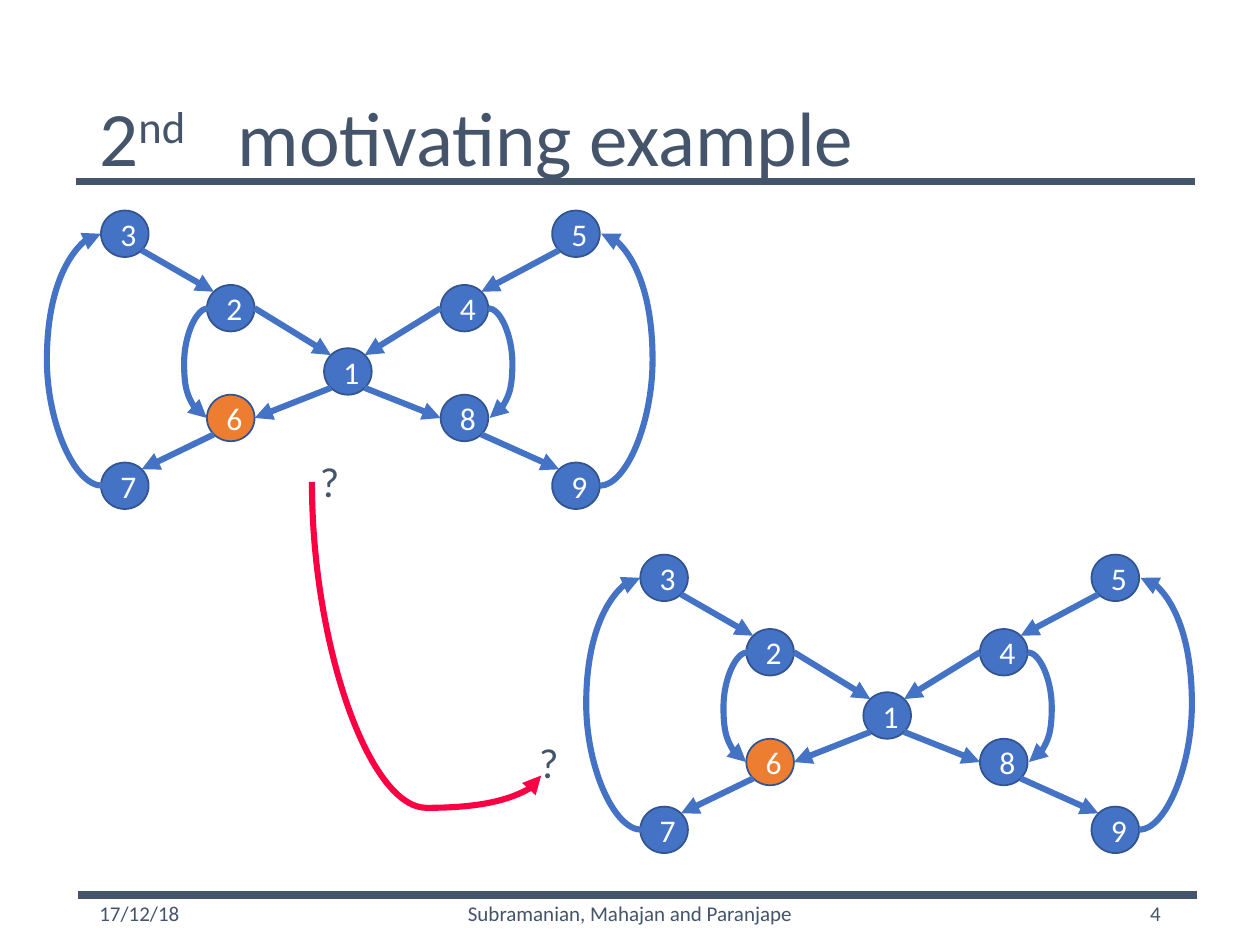
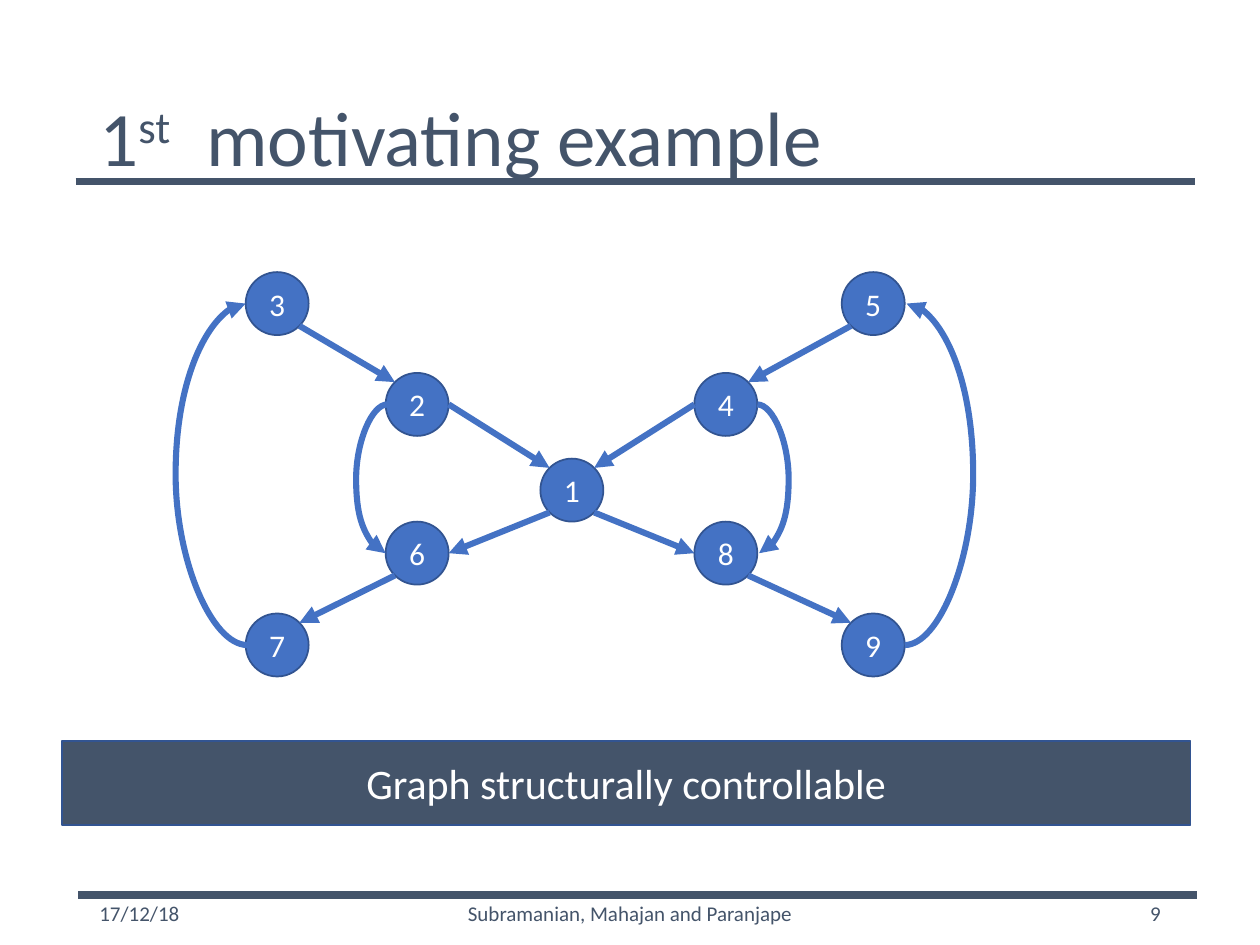
from dataclasses import dataclass
from math import sqrt
from typing import NamedTuple

from lxml.etree import SubElement
from pptx import Presentation
from pptx.dml.color import RGBColor
from pptx.enum.shapes import MSO_CONNECTOR, MSO_SHAPE
from pptx.enum.text import MSO_ANCHOR, PP_ALIGN
from pptx.oxml.ns import qn
from pptx.util import Pt


@dataclass(frozen=True)
class Theme:
    font: str = "Calibri"
    slate: str = "44546A"
    blue: str = "4472C4"
    outline: str = "325491"
    orange: str = "ED7D31"
    red: str = "FC0044"
    white: str = "FFFFFF"
    title_size: float = 44
    callout_size: float = 24
    node_size: float = 18
    footer_size: float = 12
    rule_width: float = 4.5
    edge_width: float = 3.5
    outline_width: float = 1


class Point(NamedTuple):
    x: float
    y: float


class Area(NamedTuple):
    left: float
    top: float
    width: float
    height: float


class Edge(NamedTuple):
    source: str
    source_side: str
    target: str
    target_side: str


class Arc(NamedTuple):
    source: str
    target: str
    side: str
    bulge: float


class Placement(NamedTuple):
    origin: Point
    scale: Point
    highlighted: str = ""


class Title(NamedTuple):
    number: str
    suffix: str
    rest: str
    tab: float


THEME = Theme()
DIAMETER = 36
DIAGONAL = sqrt(0.5)

SIDES = {
    "W": Point(-1, 0),
    "E": Point(1, 0),
    "NW": Point(-DIAGONAL, -DIAGONAL),
    "NE": Point(DIAGONAL, -DIAGONAL),
    "SW": Point(-DIAGONAL, DIAGONAL),
    "SE": Point(DIAGONAL, DIAGONAL),
}

NODES = {
    "2": Point(80, 57.6),
    "3": Point(0, 0),
    "4": Point(256.4, 57.6),
    "8": Point(256.4, 142.6),
    "6": Point(80, 142.6),
    "7": Point(0, 195.1),
    "1": Point(168.4, 106.6),
    "5": Point(340.6, 0),
    "9": Point(340.6, 195.1),
}

EDGES = [
    Edge("3", "SE", "2", "NW"),
    Edge("2", "E", "1", "NW"),
    Edge("4", "W", "1", "NE"),
    Edge("5", "SW", "4", "NE"),
    Edge("6", "SW", "7", "NE"),
    Edge("8", "SE", "9", "NW"),
    Edge("1", "SW", "6", "E"),
    Edge("1", "SE", "8", "W"),
]

ARCS = [
    Arc("4", "8", "E", 18),
    Arc("2", "6", "W", 18),
    Arc("9", "5", "E", 39.4),
    Arc("7", "3", "W", 41.35),
]

RULES = [(Point(43.2, 103.7), Point(682.6, 103.7)), (Point(44.6, 511.2), Point(684, 511.2))]
TITLE_AREA = Area(49.7, 28.8, 620.6, 104.4)
DATE_AREA = Area(49.7, 507.6, 162, 28.8)
AUTHORS_AREA = Area(238.3, 507.6, 243.4, 28.8)
NUMBER_AREA = Area(508.3, 507.6, 162, 28.8)


def color_of(value: str) -> RGBColor:
    return RGBColor.from_string(value)


def write_text(para, text: str, *, size: float, color: str = THEME.slate, align=PP_ALIGN.LEFT, baseline: int = 0):
    para.alignment = align
    span = para.add_run()
    span.text = text
    span.font.name = THEME.font
    span.font.size = Pt(size)
    span.font.color.rgb = color_of(color)
    if baseline:
        span._r.get_or_add_rPr().set("baseline", str(baseline * 1000))


def add_text_box(shapes, area: Area, anchor=MSO_ANCHOR.MIDDLE):
    box = shapes.add_textbox(*map(Pt, area))
    box.text_frame.word_wrap = True
    box.text_frame.vertical_anchor = anchor
    return box.text_frame.paragraphs[0]


def add_filled_shape(shapes, kind, area: Area, text: str, size: float, fill: str):
    shape = shapes.add_shape(kind, *map(Pt, area))
    shape.shadow.inherit = False
    shape.fill.solid()
    shape.fill.fore_color.rgb = color_of(fill)
    shape.line.color.rgb = color_of(THEME.outline)
    shape.line.width = Pt(THEME.outline_width)
    shape.text_frame.vertical_anchor = MSO_ANCHOR.MIDDLE
    write_text(shape.text_frame.paragraphs[0], text, size=size, color=THEME.white, align=PP_ALIGN.CENTER)


def add_line(shapes, start: Point, end: Point, *, color: str = THEME.blue, width: float = THEME.edge_width,
             arrow: bool = True, bend: float = 0, turn: int = 0):
    kind = MSO_CONNECTOR.CURVE if bend else MSO_CONNECTOR.STRAIGHT
    line = shapes.add_connector(kind, *map(Pt, (*start, *end)))
    line.line.color.rgb = color_of(color)
    line.line.width = Pt(width)
    properties = line._element.spPr
    if arrow:
        SubElement(properties.find(qn("a:ln")), qn("a:tailEnd"), type="triangle")
    SubElement(properties, qn("a:effectLst"))
    if bend:
        geometry = properties.find(qn("a:prstGeom"))
        adjustments = geometry.find(qn("a:avLst"))
        if adjustments is None:
            adjustments = SubElement(geometry, qn("a:avLst"))
        SubElement(adjustments, qn("a:gd"), name="adj1", fmla=f"val {round(bend * 100000)}")
    if turn:
        properties.find(qn("a:xfrm")).set("rot", str(turn * 60000))


def add_graph(shapes, placement: Placement):
    origin, scale, highlighted = placement

    def place(x: float, y: float) -> Point:
        return Point(origin.x + scale.x * x, origin.y + scale.y * y)

    def port(node: str, side: str, shift: float = 0) -> Point:
        center, direction = NODES[node], SIDES[side]
        radius = DIAMETER / 2
        return place(center.x + radius * direction.x + shift, center.y + radius * direction.y)

    for label, center in NODES.items():
        corner = place(center.x - DIAMETER / 2, center.y - DIAMETER / 2)
        area = Area(*corner, DIAMETER * scale.x, DIAMETER * scale.y)
        fill = THEME.orange if label == highlighted else THEME.blue
        add_filled_shape(shapes, MSO_SHAPE.OVAL, area, label, THEME.node_size, fill)
    for edge in EDGES:
        add_line(shapes, port(edge.source, edge.source_side), port(edge.target, edge.target_side))
    for arc in ARCS:
        start_shift, end_shift = (1, 0) if arc.side == "W" else (0, 1)
        add_line(shapes, port(arc.source, arc.side, start_shift), port(arc.target, arc.side, end_shift),
                 bend=arc.bulge)


def add_page(deck, title: Title, number: str):
    page = deck.slides.add_slide(deck.slide_layouts[6])
    for start, end in RULES:
        add_line(page.shapes, start, end, color=THEME.slate, width=THEME.rule_width, arrow=False)

    para = add_text_box(page.shapes, TITLE_AREA)
    para.line_spacing = 0.9
    tabs = SubElement(para._p.get_or_add_pPr(), qn("a:tabLst"))
    SubElement(tabs, qn("a:tab"), pos=str(Pt(title.tab)), algn="l")
    write_text(para, title.number, size=THEME.title_size)
    write_text(para, title.suffix, size=THEME.title_size, baseline=30)
    write_text(para, f"\t{title.rest}", size=THEME.title_size)

    footers = [
        (DATE_AREA, "17/12/18", PP_ALIGN.LEFT),
        (AUTHORS_AREA, "Subramanian, Mahajan and Paranjape", PP_ALIGN.CENTER),
        (NUMBER_AREA, number, PP_ALIGN.RIGHT),
    ]
    for area, text, align in footers:
        write_text(add_text_box(page.shapes, area), text, size=THEME.footer_size, align=align)
    return page


def build_linked_graphs(deck):
    page = add_page(deck, Title("2", "nd", "motivating example", 79), "4")
    scale = Point(0.757, 0.738)
    for origin in (Point(71.3, 133.6), Point(379.5, 330.2)):
        add_graph(page.shapes.add_group_shape().shapes, Placement(origin, scale, "6"))
    add_line(page.shapes, Point(327.6, 293.8), Point(159.8, 424.8), color=THEME.red, bend=1.11, turn=270)
    for left, top in (Point(301, 417.6), Point(175.7, 257)):
        para = add_text_box(page.shapes, Area(left, top, 35.3, 36), MSO_ANCHOR.TOP)
        write_text(para, "?", size=THEME.callout_size)


def build_single_graph(deck):
    page = add_page(deck, Title("1", "st", "motivating example", 61), "9")
    add_graph(page.shapes, Placement(Point(158.4, 173.5), Point(1, 1)))
    add_filled_shape(page.shapes, MSO_SHAPE.RECTANGLE, Area(35.3, 423.4, 645.1, 48.2),
                     "Graph structurally controllable", THEME.callout_size, THEME.slate)


def main():
    deck = Presentation()
    deck.slide_width, deck.slide_height = Pt(720), Pt(540)
    build_linked_graphs(deck)
    build_single_graph(deck)
    deck.save("out.pptx")


if __name__ == "__main__":
    main()
